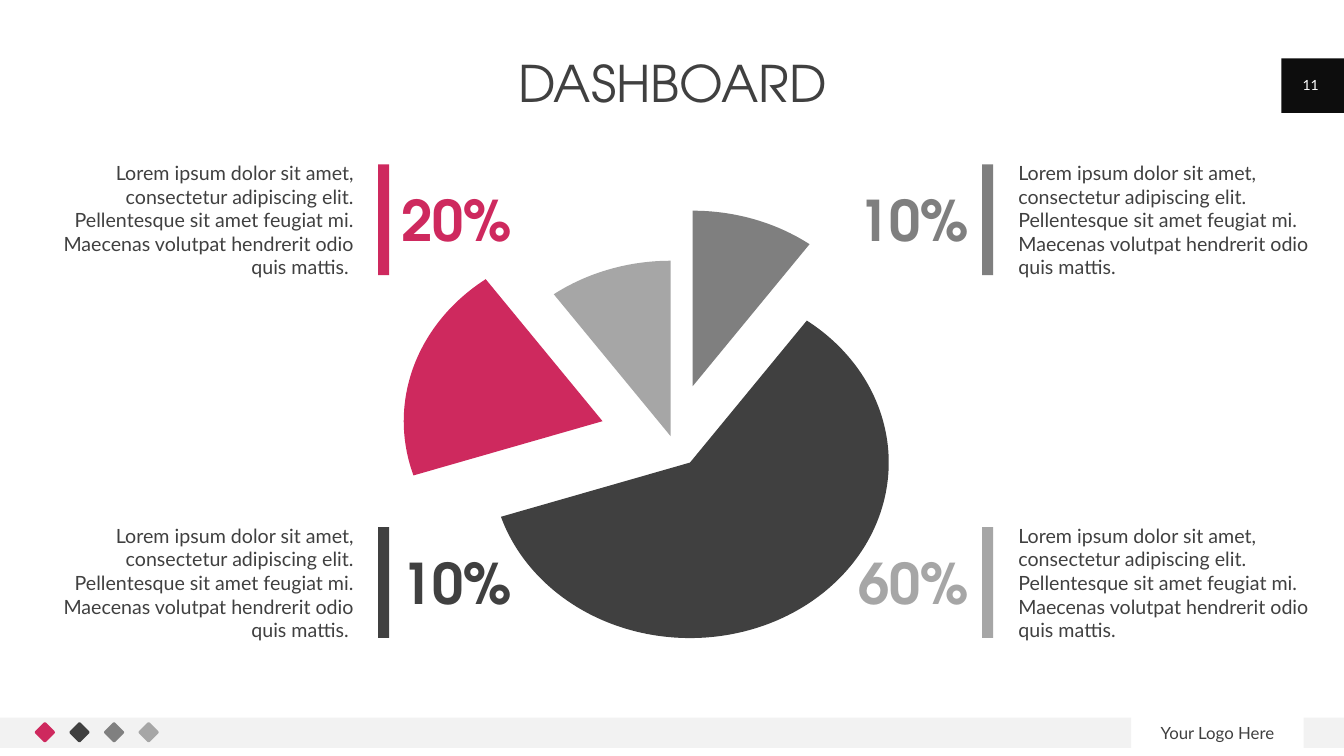
from lxml.etree import SubElement
from pptx import Presentation
from pptx.chart.data import CategoryChartData
from pptx.dml.color import RGBColor
from pptx.enum.chart import XL_CHART_TYPE
from pptx.enum.shapes import MSO_SHAPE
from pptx.enum.text import MSO_ANCHOR, MSO_AUTO_SIZE, PP_ALIGN
from pptx.oxml.ns import qn
from pptx.util import Inches, Pt

COLORS = {"pink": "CE295E", "dark": "404040", "gray": "7F7F7F", "light": "A6A6A6",
          "mid": "808080", "band": "F2F2F2", "black": "0D0D0D", "white": "FFFFFF"}
HEADING, BODY = "TeX Gyre Adventor", "Lato"
LOREM = ("Lorem ipsum dolor sit amet, consectetur adipiscing elit. Pellentesque sit amet "
         "feugiat mi. Maecenas volutpat hendrerit odio quis mattis.")

# category, value, color, explosion in percent of the radius
SLICES = [("1", 10, "gray", 33), ("2", 60, "dark", 15),
          ("3", 20, "pink", 37), ("4", 10, "light", 3)]
# share, color, column, top of the bar
CALLOUTS = [("10%", "gray", "right", 1.63), ("60%", "light", "right", 5.23),
            ("20%", "pink", "left", 1.63), ("10%", "dark", "left", 5.23)]
# left edges of bar, text and share; alignment of text and share; end of the text
COLUMNS = {"left": (3.75, 0.56, 3.98, PP_ALIGN.RIGHT, PP_ALIGN.LEFT, " "),
           "right": (9.74, 10.1, 7.53, PP_ALIGN.LEFT, PP_ALIGN.RIGHT, "")}
PANELS = [(0, 7.12, 11.22, 0.3, "band"), (12.93, 7.12, 0.4, 0.3, "band"),
          (12.71, 0.58, 0.62, 0.54, "black")]
DIAMONDS = ["pink", "dark", "mid", "light"]
PIE_AREA = {"x": 0.19, "y": 0.035, "w": 0.62, "h": 0.93}


def rgb(name):
    return RGBColor.from_string(COLORS[name])


def add_block(page, left, top, width, height, color, kind=MSO_SHAPE.RECTANGLE):
    block = page.shapes.add_shape(kind, *map(Inches, (left, top, width, height)))
    block.shadow.inherit = False
    block.fill.solid()
    block.fill.fore_color.rgb = rgb(color)
    block.line.fill.background()
    return block


def write(box, text, size, color, align, font=BODY, bold=False):
    frame = box.text_frame
    frame.text = text
    settings = {"word_wrap": True, "auto_size": MSO_AUTO_SIZE.NONE,
                "vertical_anchor": MSO_ANCHOR.MIDDLE, "margin_left": 0,
                "margin_right": 0, "margin_top": 0, "margin_bottom": 0}
    for name, value in settings.items():
        setattr(frame, name, value)
    para = frame.paragraphs[0]
    para.alignment = align
    span = para.runs[0]
    for name, value in {"name": font, "size": Pt(size), "bold": bold}.items():
        setattr(span.font, name, value)
    span.font.color.rgb = rgb(color)


def add_text(page, left, top, width, height, *style):
    box = page.shapes.add_textbox(*map(Inches, (left, top, width, height)))
    write(box, *style)


def add_title(page, text):
    title = page.shapes.title
    place = {"left": 0.92, "top": 0.58, "width": 11.5, "height": 0.55}
    for name, value in place.items():
        setattr(title, name, Inches(value))
    write(title, text, 36, "dark", PP_ALIGN.CENTER, HEADING)
    title.text_frame.paragraphs[0].line_spacing = 0.9


def add_pie(page):
    data = CategoryChartData()
    data.categories = [label for label, *_ in SLICES]
    data.add_series("Series 1", [value for _, value, *_ in SLICES])
    area = map(Inches, (3.49, 2.09, 6.36, 4.24))
    chart = page.shapes.add_chart(XL_CHART_TYPE.PIE, *area, data).chart
    chart.has_legend = chart.has_title = False
    chart.font.name, chart.font.size = BODY, Pt(10)
    plot = chart.plots[0]
    plot.vary_by_categories = True
    for index, (_, _, color, explosion) in enumerate(SLICES):
        point = plot.series[0].points[index]
        point.format.fill.solid()
        point.format.fill.fore_color.rgb = rgb(color)
        point.format.line.fill.background()
    for mark, (*_, explosion) in zip(chart.element.iter(qn("c:dPt")), SLICES):
        offset = SubElement(mark, qn("c:explosion"), val=str(explosion))
        mark.find(qn("c:spPr")).addprevious(offset)
    place_plot(chart)


def place_plot(chart):
    plot_area = chart.element.find(".//" + qn("c:plotArea"))
    for old in plot_area.findall(qn("c:layout")):
        plot_area.remove(old)
    layout = SubElement(plot_area, qn("c:layout"))
    plot_area.insert(0, layout)
    manual = SubElement(layout, qn("c:manualLayout"))
    SubElement(manual, qn("c:layoutTarget"), val="inner")
    for axis in "xy":
        SubElement(manual, qn(f"c:{axis}Mode"), val="edge")
    for name, value in PIE_AREA.items():
        SubElement(manual, qn(f"c:{name}"), val=str(value))


def add_callout(page, share, color, column, top):
    bar_x, text_x, share_x, text_align, share_align, ending = COLUMNS[column]
    add_block(page, bar_x, top, 0.11, 1.1, color)
    add_text(page, text_x, top - 0.04, 2.95, 1.18, LOREM + ending, 14, "dark", text_align)
    add_text(page, share_x, top + 0.21, 2.08, 0.67, share, 40, color, share_align,
             HEADING, True)


def main():
    deck = Presentation()
    deck.slide_width, deck.slide_height = Inches(13.33), Inches(7.5)
    page = deck.slides.add_slide(deck.slide_layouts[5])
    for panel in PANELS:
        add_block(page, *panel)
    for index, color in enumerate(DIAMONDS):
        diamond = add_block(page, 0.37 + index * 0.343, 7.19, 0.15, 0.15, color,
                            MSO_SHAPE.ROUNDED_RECTANGLE)
        diamond.adjustments[0] = 0.11
        diamond.rotation = 45
    add_title(page, "DASHBOARD")
    add_text(page, 11.22, 7.12, 1.71, 0.3, "Your Logo Here", 12, "dark", PP_ALIGN.CENTER)
    add_text(page, 12.77, 0.64, 0.46, 0.4, "11", 10, "white", PP_ALIGN.CENTER)
    add_pie(page)
    for callout in CALLOUTS:
        add_callout(page, *callout)
    deck.save("out.pptx")


if __name__ == "__main__":
    main()
